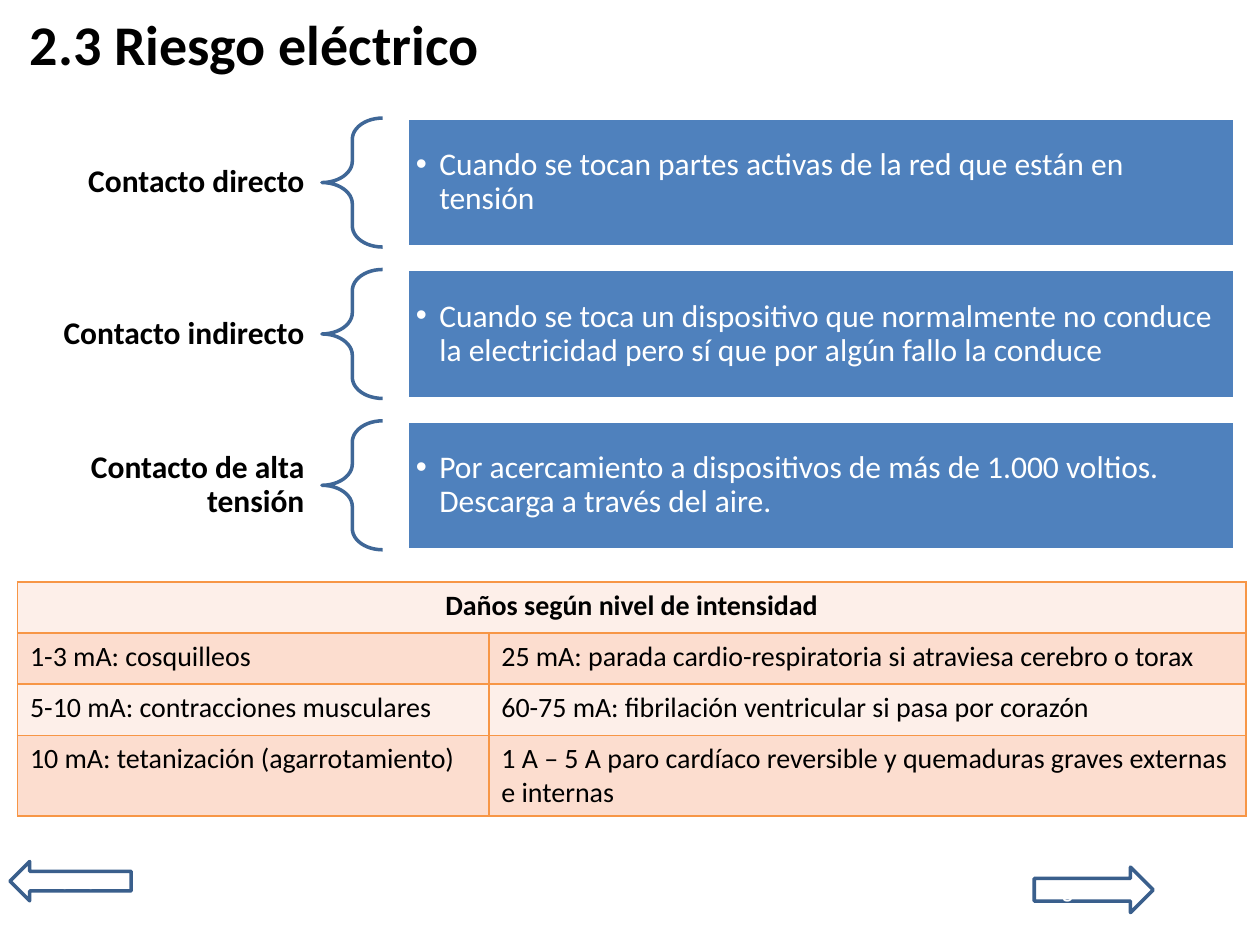
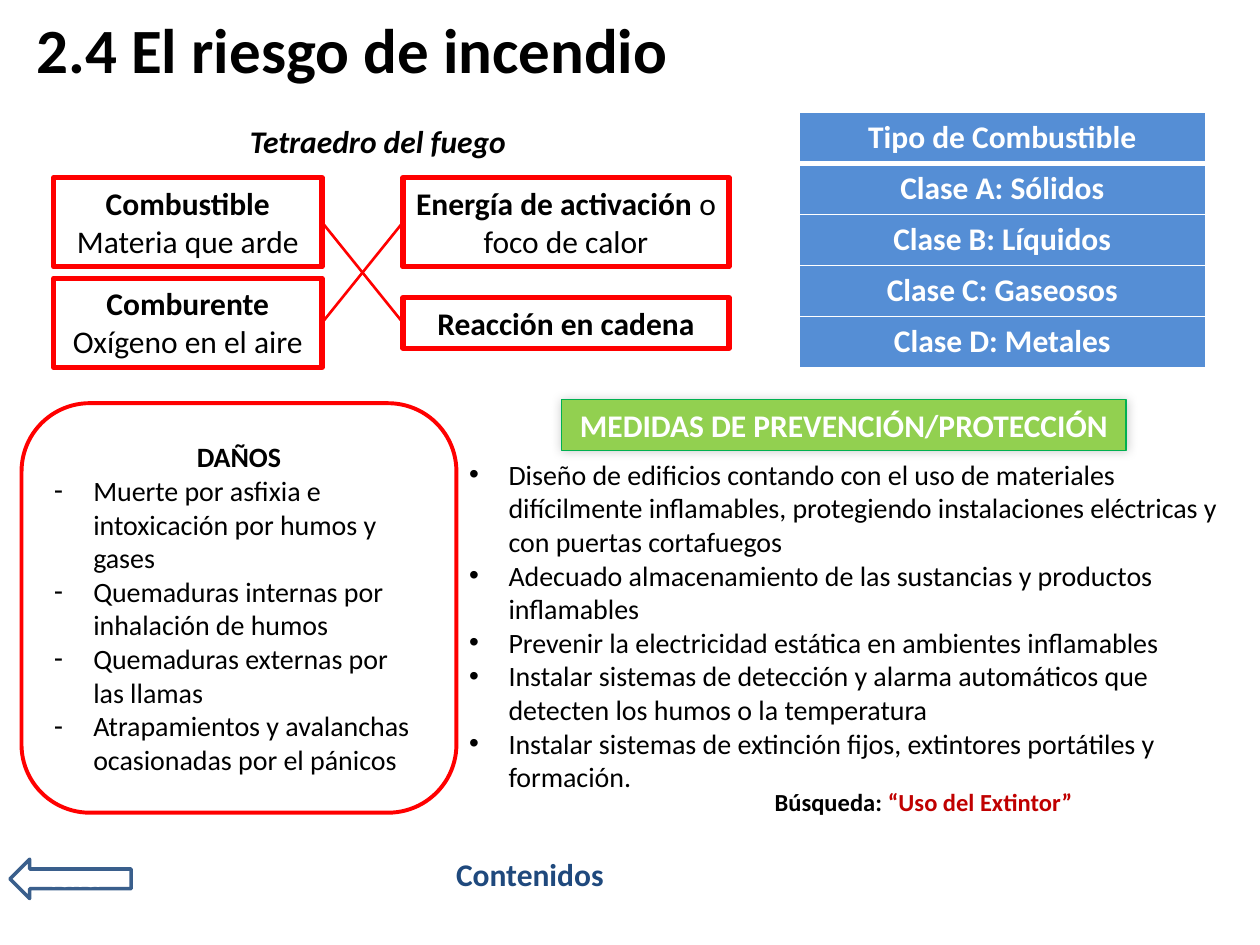
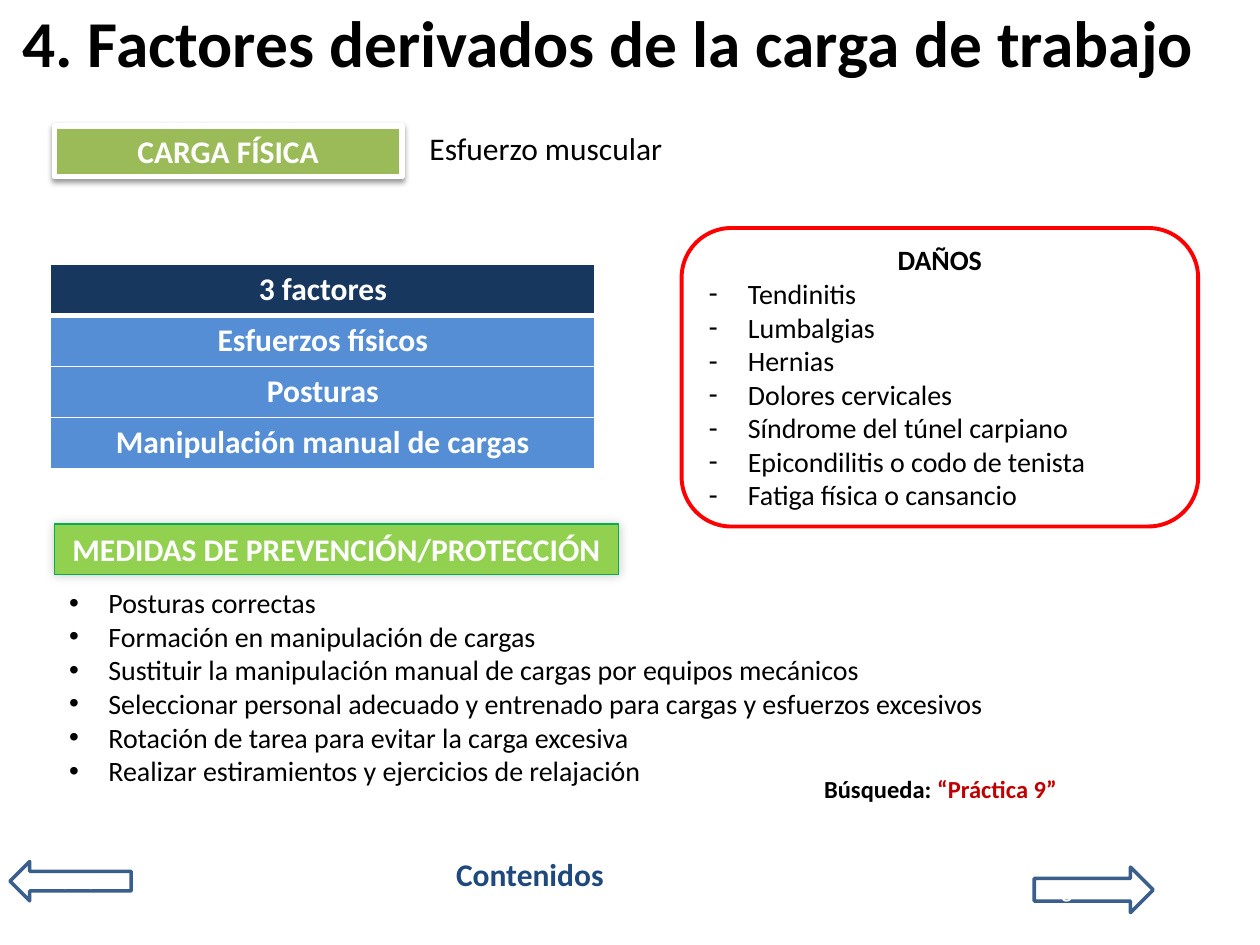
import dataclasses

import pptx
import pptx.chart
import pptx.dml.color
import pptx.enum.shapes
import pptx.enum.text
import pptx.oxml
import pptx.oxml.ns
import pptx.util
from lxml import etree

Pt = pptx.util.Pt
RGBColor = pptx.dml.color.RGBColor
SHAPE = pptx.enum.shapes.MSO_SHAPE
ALIGN = pptx.enum.text.PP_ALIGN
ANCHOR = pptx.enum.text.MSO_ANCHOR

BLACK = RGBColor(0x00, 0x00, 0x00)
WHITE = RGBColor(0xFF, 0xFF, 0xFF)
RED = RGBColor(0xFF, 0x00, 0x00)
DARK_RED = RGBColor(0xC0, 0x00, 0x00)
NAVY = RGBColor(0x17, 0x37, 0x5E)
INK_BLUE = RGBColor(0x1F, 0x49, 0x7D)
ARROW_BLUE = RGBColor(0x3A, 0x5F, 0x8C)
BRACE_BLUE = RGBColor(0x3F, 0x67, 0x97)
BOX_BLUE = RGBColor(0x4F, 0x81, 0xBD)
ROW_BLUE = RGBColor(0x55, 0x8E, 0xD5)
GREEN = RGBColor(0x92, 0xD0, 0x50)
GREEN_EDGE = RGBColor(0x00, 0xB0, 0x50)
OLIVE = RGBColor(0x9B, 0xBB, 0x59)
ORANGE = RGBColor(0xF7, 0x96, 0x46)
PEACH_LIGHT = RGBColor(0xFD, 0xEF, 0xE9)
PEACH = RGBColor(0xFC, 0xDD, 0xCF)

FONT = "Calibri"
ROW_HEIGHT = 29.15


@dataclasses.dataclass(frozen=True)
class Style:
    """Look of a paragraph or of a piece of one."""
    size: float = 18
    color: RGBColor = BLACK
    bold: bool = False
    italic: bool = False
    align: ALIGN = ALIGN.LEFT
    bullet: str = ""
    indent: float = 22.5
    spacing: float = 1.0


BODY = Style()
CENTERED = Style(align=ALIGN.CENTER)
HEADING = Style(bold=True, align=ALIGN.CENTER)
WHITE_HEADING = dataclasses.replace(HEADING, color=WHITE)
NAVIGATION = dataclasses.replace(WHITE_HEADING, size=12)
CONTACT = Style(bold=True, align=ALIGN.RIGHT, spacing=0.9)
CONTACT_DETAIL = Style(color=WHITE, bullet="•", indent=13.5, spacing=0.9)
DAMAGE_HEADING = dataclasses.replace(HEADING, size=16)
DAMAGE = Style(size=16, bullet="-")
MEASURE = Style(size=16, bullet="•")
CELL = Style(size=16)


def lines(style, *texts):
    """Return one single-piece paragraph for each text."""
    return [[(text, style)] for text in texts]


def add_xml(parent, tag, **attributes):
    """Append a DrawingML element and return it."""
    return etree.SubElement(parent, pptx.oxml.ns.qn(tag), attributes)


def apply_font(font, style):
    """Give a font the look of a style."""
    font.name = FONT
    font.size = Pt(style.size)
    font.bold = style.bold
    font.italic = style.italic
    font.color.rgb = style.color


def write(frame, paragraphs):
    """Fill a text frame with paragraphs made of styled pieces."""
    for number, pieces in enumerate(paragraphs):
        paragraph = frame.add_paragraph() if number else frame.paragraphs[0]
        style = pieces[0][1]
        paragraph.alignment = style.align
        if style.spacing != 1:
            paragraph.line_spacing = style.spacing
        if style.bullet:
            properties = paragraph._p.get_or_add_pPr()
            properties.set("marL", str(Pt(style.indent)))
            properties.set("indent", str(-Pt(style.indent)))
            add_xml(properties, "a:buFont", typeface="Arial")
            add_xml(properties, "a:buChar", char=style.bullet)
        apply_font(paragraph.font, style)
        for text, piece_style in pieces:
            run = paragraph.add_run()
            run.text = text
            if piece_style != style:
                apply_font(run.font, piece_style)


def set_margins(frame, side, end):
    """Set the side margins and the top and bottom margins of a frame."""
    frame.margin_left = frame.margin_right = Pt(side)
    frame.margin_top = frame.margin_bottom = Pt(end)


def add_text(slide, place, paragraphs, anchor=ANCHOR.TOP):
    """Add a wrapping text box."""
    frame = slide.shapes.add_textbox(*map(Pt, place)).text_frame
    frame.word_wrap = True
    frame.vertical_anchor = anchor
    write(frame, paragraphs)
    return frame


def add_box(slide, kind, place, edge, width, paragraphs=(), fill=None, anchor=ANCHOR.MIDDLE):
    """Add an outlined preset shape with optional fill and text."""
    box = slide.shapes.add_shape(kind, *map(Pt, place))
    box.shadow.inherit = False
    if fill is None:
        box.fill.background()
    else:
        box.fill.solid()
        box.fill.fore_color.rgb = fill
    box.line.color.rgb = edge
    box.line.width = Pt(width)
    box.text_frame.vertical_anchor = anchor
    write(box.text_frame, paragraphs)
    return box


def add_shadow(box, opacity, blur, distance, angle):
    """Put a soft black outer shadow on a shape."""
    effects = box._element.spPr.find(pptx.oxml.ns.qn("a:effectLst"))
    shadow = add_xml(effects, "a:outerShdw", blurRad=str(Pt(blur)), dist=str(Pt(distance)),
                     dir=str(angle * 60000), algn="ctr", rotWithShape="0")
    color = add_xml(shadow, "a:srgbClr", val=str(BLACK))
    add_xml(color, "a:alpha", val=str(opacity * 1000))


def add_title(slide, text, place, size):
    """Add the slide title."""
    add_text(slide, place, lines(Style(size=size, bold=True), text), ANCHOR.MIDDLE)


def add_back(slide, top=492.3):
    """Add the arrow that leads back."""
    add_box(slide, SHAPE.LEFT_ARROW, (5.7, top, 69.2, 22.5), ARROW_BLUE, 2,
            lines(NAVIGATION, "Volver"))


def add_next(slide, text):
    """Add the arrow that leads on."""
    add_box(slide, SHAPE.RIGHT_ARROW, (591, 495.5, 68, 26), ARROW_BLUE, 2,
            lines(NAVIGATION, text))


def add_contents(slide):
    """Add the footer word for the contents."""
    add_text(slide, (253.5, 485.3, 104, 29), lines(Style(color=INK_BLUE, bold=True), "Contenidos"))


def add_search(slide, place, topic, align=ALIGN.LEFT):
    """Add a search hint with its topic in red."""
    label = Style(size=14, bold=True, align=align)
    add_text(slide, place, [[("Búsqueda:", label),
                             (f" “{topic}”", dataclasses.replace(label, color=DARK_RED))]])


def add_measures(slide, place, banner_left, banner_top, *measures):
    """Add the green banner and the list of measures."""
    banner = add_box(slide, SHAPE.RECTANGLE, (banner_left, banner_top, 322.5, 29), GREEN_EDGE, 0.75,
                     lines(WHITE_HEADING, "MEDIDAS DE PREVENCIÓN/PROTECCIÓN"), GREEN, ANCHOR.TOP)
    add_shadow(banner, 20, 6, 0, 225)
    add_text(slide, place, lines(MEASURE, *measures))


def add_damages(slide, place, *damages):
    """Add the rounded red frame listing the damages."""
    add_box(slide, SHAPE.ROUNDED_RECTANGLE, place, RED, 2.25,
            lines(DAMAGE_HEADING, "DAÑOS") + lines(DAMAGE, *damages))


def add_contact(slide, top, name, detail):
    """Add a kind of contact, its brace and its explanation."""
    label = add_text(slide, (10, top, 174, 73.7), lines(CONTACT, name), ANCHOR.MIDDLE)
    set_margins(label, 10, 3.6)
    brace = add_box(slide, SHAPE.LEFT_BRACE, (184, top, 34.7, 73.7), BRACE_BLUE, 2)
    brace.adjustments[0] = 0.35
    explanation = add_box(slide, SHAPE.RECTANGLE, (232.6, top, 473, 73.7), WHITE, 2,
                          lines(CONTACT_DETAIL, detail), BOX_BLUE)
    set_margins(explanation.text_frame, 5, 5)


def fill_cell(cell, text, style, fill, edge, bottom=1):
    """Write a cell and set its fill and borders."""
    write(cell.text_frame, lines(style, text))
    properties = cell._tc.get_or_add_tcPr()
    for side in "LRTB":
        border = add_xml(properties, f"a:ln{side}", w=str(Pt(bottom if side == "B" else 1)))
        add_xml(add_xml(border, "a:solidFill"), "a:srgbClr", val=str(edge))
    cell.fill.solid()
    cell.fill.fore_color.rgb = fill


def add_grid(slide, left, top, widths, heights):
    """Add a plain table with the given column widths and row heights."""
    place = map(Pt, (left, top, sum(widths), sum(heights)))
    table = slide.shapes.add_table(len(heights), len(widths), *place).table
    table.first_row = table.horz_banding = False
    for column, width in zip(table.columns, widths):
        column.width = Pt(width)
    for row, height in zip(table.rows, heights):
        row.height = Pt(height)
    return table


def add_list_table(slide, left, top, width, header_fill, *entries):
    """Add a one-column blue table whose first entry is the header."""
    table = add_grid(slide, left, top, [width], [ROW_HEIGHT] * len(entries))
    for number, entry in enumerate(entries):
        fill_cell(table.cell(number, 0), entry, WHITE_HEADING,
                  ROW_BLUE if number else header_fill, WHITE, 1 if number else 3)


def add_intensity_table(slide):
    """Add the table of damages by current."""
    table = add_grid(slide, 10, 332.6, [269.3, 432.7], [29.2, 29.2, 29.2, 46])
    rows = [
        ("Daños según nivel de intensidad", ""),
        ("1-3 mA: cosquilleos",
         "25 mA: parada cardio-respiratoria si atraviesa cerebro o torax"),
        ("5-10 mA: contracciones musculares",
         "60-75 mA: fibrilación ventricular si pasa por corazón"),
        ("10 mA: tetanización (agarrotamiento)",
         "1 A – 5 A paro cardíaco reversible y quemaduras graves externas e internas"),
    ]
    table.cell(0, 0).merge(table.cell(0, 1))
    for number, row in enumerate(rows):
        for column, text in enumerate(row):
            fill_cell(table.cell(number, column), text, CELL if number else DAMAGE_HEADING,
                      PEACH if number % 2 else PEACH_LIGHT, ORANGE)


def add_fire_side(slide, place, *paragraphs):
    """Add one red box of the fire tetrahedron."""
    return add_box(slide, SHAPE.RECTANGLE, place, RED, 3, paragraphs, anchor=ANCHOR.TOP)


def join(slide, start, end):
    """Join the right side of one box to the left side of another."""
    link = slide.shapes.add_connector(pptx.enum.shapes.MSO_CONNECTOR.STRAIGHT, 0, 0, 0, 0)
    link.begin_connect(start, 3)
    link.end_connect(end, 1)
    link.line.color.rgb = RED
    link.line.width = Pt(1.5)
    add_xml(link._element.spPr, "a:effectLst")


def add_tetrahedron(slide):
    """Add the four linked elements of fire."""
    add_text(slide, (75, 66.3, 282, 29),
             lines(dataclasses.replace(HEADING, italic=True), "Tetraedro del fuego"))
    fuel = add_fire_side(slide, (30.7, 101.5, 153.3, 51), [("Combustible", HEADING)],
                         [("Materia que arde", CENTERED)])
    oxidizer = add_fire_side(slide, (30.7, 159, 153.3, 51), [("Comburente", HEADING)],
                             [("Oxígeno en el aire", CENTERED)])
    energy = add_fire_side(slide, (230.3, 101.5, 186.3, 51),
                           [("Energía de activación ", HEADING), ("o foco de calor", CENTERED)])
    reaction = add_fire_side(slide, (230.3, 170, 186.3, 29), [("Reacción en cadena", HEADING)])
    join(slide, fuel, reaction)
    join(slide, oxidizer, energy)


def build_electric(slide):
    """Build the slide on electrical risk."""
    add_title(slide, "2.3 Riesgo eléctrico", (10, 2.2, 710, 45.4), 32)
    contacts = [
        ("Contacto directo", "Cuando se tocan partes activas de la red que están en tensión"),
        ("Contacto indirecto", "Cuando se toca un dispositivo que normalmente no conduce "
                               "la electricidad pero sí que por algún fallo la conduce"),
        ("Contacto de alta tensión", "Por acercamiento a dispositivos de más de 1.000 voltios. "
                                     "Descarga a través del aire."),
    ]
    for number, (name, detail) in enumerate(contacts):
        add_contact(slide, 67.5 + 86.5 * number, name, detail)
    add_intensity_table(slide)
    add_back(slide)
    add_next(slide, "Siguiente")


def build_fire(slide):
    """Build the slide on fire risk."""
    add_title(slide, "2.4 El riesgo de incendio", (13.7, 0, 706.3, 55), 36)
    add_tetrahedron(slide)
    add_list_table(slide, 456.5, 64.2, 232.5, ROW_BLUE, "Tipo de Combustible", "Clase A: Sólidos",
                   "Clase B: Líquidos", "Clase C: Gaseosos", "Clase D: Metales")
    add_damages(slide, (12.3, 230.4, 248.5, 234),
                "Muerte por asfixia e intoxicación por humos y gases",
                "Quemaduras internas por inhalación de humos",
                "Quemaduras externas por las llamas",
                "Atrapamientos y avalanchas ocasionadas por el pánicos")
    add_measures(slide, (261, 257.8, 453, 201), 321, 228.3,
                 "Diseño de edificios contando con el uso de materiales difícilmente inflamables, "
                 "protegiendo instalaciones eléctricas y con puertas cortafuegos",
                 "Adecuado almacenamiento de las sustancias y productos inflamables",
                 "Prevenir la electricidad estática en ambientes inflamables",
                 "Instalar sistemas de detección y alarma automáticos que detecten los humos "
                 "o la temperatura",
                 "Instalar sistemas de extinción fijos, extintores portátiles y formación.")
    add_search(slide, (435.6, 446.4, 191, 24.5), "Uso del Extintor")
    add_back(slide, 491)
    add_contents(slide)


def build_workload(slide):
    """Build the slide on physical workload."""
    add_title(slide, "4. Factores derivados de la carga de trabajo", (5.7, 0.7, 714.3, 45.4), 37.4)
    load = add_box(slide, SHAPE.RECTANGLE, (31, 72, 198.7, 29), WHITE, 3,
                   lines(WHITE_HEADING, "CARGA FÍSICA"), OLIVE, ANCHOR.TOP)
    add_shadow(load, 38, 3.1, 1.6, 90)
    add_text(slide, (238.3, 70, 407, 29), lines(BODY, "Esfuerzo muscular"))
    add_list_table(slide, 29, 151.2, 311, NAVY, "3 factores", "Esfuerzos físicos", "Posturas",
                   "Manipulación manual de cargas")
    add_damages(slide, (389.5, 130.3, 295.2, 170.6), "Tendinitis", "Lumbalgias", "Hernias",
                "Dolores cervicales", "Síndrome del túnel carpiano",
                "Epicondilitis o codo de tenista", "Fatiga física o cansancio")
    add_measures(slide, (32.4, 331.2, 615, 124), 31, 299.5,
                 "Posturas correctas",
                 "Formación en manipulación de cargas",
                 "Sustituir la manipulación manual de cargas por equipos mecánicos",
                 "Seleccionar personal adecuado y entrenado para cargas y esfuerzos excesivos",
                 "Rotación de tarea para evitar la carga excesiva",
                 "Realizar estiramientos y ejercicios de relajación")
    add_search(slide, (428.4, 438.5, 218, 24.5), "Práctica 9", ALIGN.CENTER)
    add_back(slide)
    add_contents(slide)
    add_next(slide, "siguiente")


def main():
    """Build the three slides and save them."""
    deck = pptx.Presentation()
    deck.slide_width, deck.slide_height = Pt(720), Pt(540)
    for build in (build_electric, build_fire, build_workload):
        build(deck.slides.add_slide(deck.slide_layouts[6]))
    deck.save("out.pptx")


if __name__ == "__main__":
    main()
